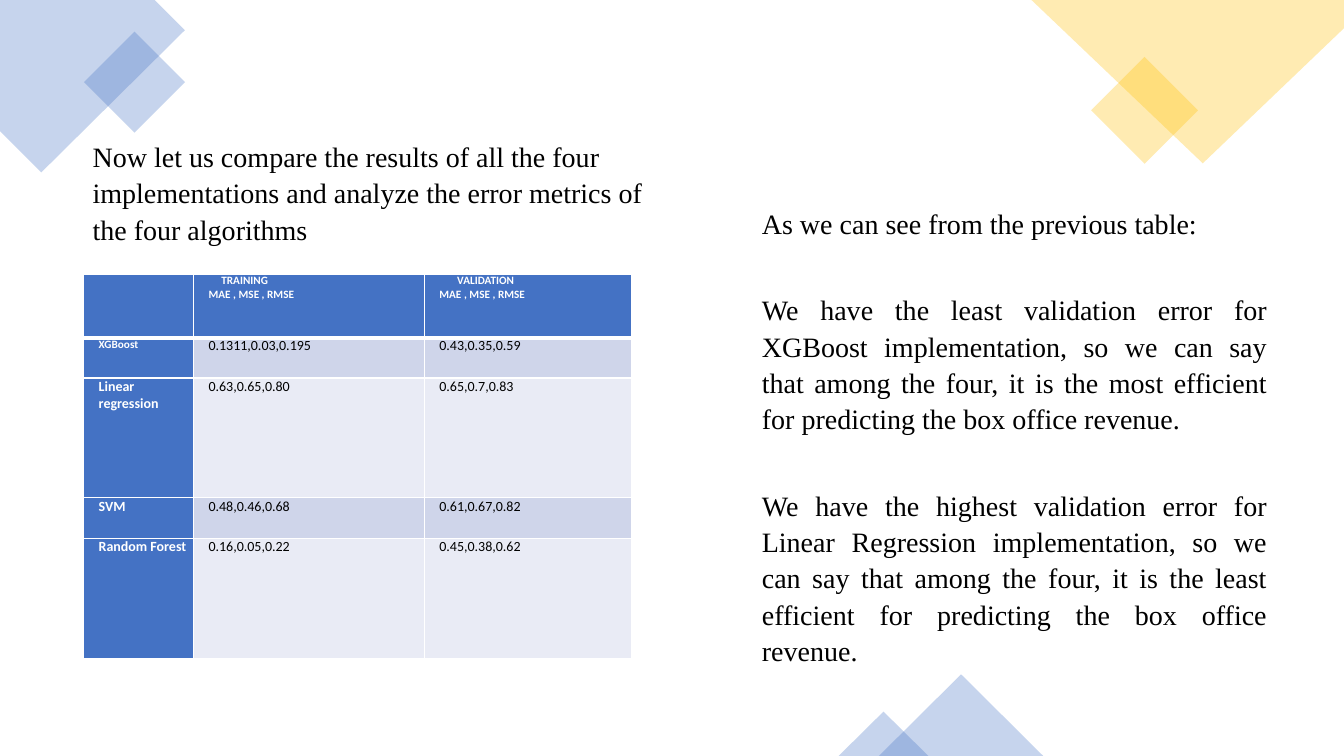
from lxml import etree
from pptx import Presentation
from pptx import util as u
from pptx.dml.color import RGBColor
from pptx.enum import shapes, text
from pptx.oxml import ns

BLUE = RGBColor(0x44, 0x72, 0xC4)
GOLD = RGBColor(0xFF, 0xC0, 0x00)
WHITE = RGBColor(0xFF, 0xFF, 0xFF)
BLACK = RGBColor(0x00, 0x00, 0x00)
BANDS = [RGBColor(0xE9, 0xEB, 0xF5), RGBColor(0xCF, 0xD5, 0xEA)]

deck = Presentation()
deck.slide_width, deck.slide_height = u.Inches(13.333), u.Inches(7.5)
slide = deck.slides.add_slide(deck.slide_layouts[6])
UNIT = deck.slide_width / 40


def grid(*cells):
    return [u.Emu(round(cell * UNIT)) for cell in cells]


def tint(ornament, color):
    ornament.shadow.inherit = False
    ornament.line.fill.background()
    ornament.fill.solid()
    ornament.fill.fore_color.rgb = color
    shade = ornament.fill._xPr.find(".//" + ns.qn("a:srgbClr"))
    etree.SubElement(shade, ns.qn("a:alpha"), val="30000")


top_left_corner = [(0, 0), (4.6, 0), (5.5, 0.9), (1.23, 5.13), (0, 3.9)]
top_right_corner = [(30.7, 0), (40, 0), (40, 0.84), (35.8, 4.86)]
for outline, color in [(top_left_corner, BLUE), (top_right_corner, GOLD)]:
    start, *others = [grid(*point) for point in outline]
    builder = slide.shapes.build_freeform(*start)
    builder.add_line_segments(others)
    tint(builder.convert_to_shape(), color)

SQUARE = shapes.MSO_SHAPE.RECTANGLE
PEAK = shapes.MSO_SHAPE.ISOSCELES_TRIANGLE
for form, place, turn, color in [
    (SQUARE, (2.94, 1.38, 2.13, 2.13), 315, BLUE),
    (SQUARE, (32.94, 2.16, 2.25, 2.25), 315, GOLD),
    (PEAK, (26.16, 20.07, 4.89, 2.43), 0, BLUE),
    (PEAK, (24.96, 21.18, 2.67, 1.32), 0, BLUE),
]:
    ornament = slide.shapes.add_shape(form, *grid(*place))
    ornament.rotation = turn
    tint(ornament, color)

introduction = [
    "Now let us compare the results of all the four implementations and "
    "analyze the error metrics of the four algorithms",
]
findings = [
    "As we can see from the previous table:",
    "We have the least validation error for XGBoost implementation, so we can "
    "say that among the four, it is the most efficient for predicting the box "
    "office revenue.",
    "We have the highest validation error for Linear Regression implementation, "
    "so we can say that among the four, it is the least efficient for predicting "
    "the box office revenue.",
]
for wording, place, alignment, gap, margin in [
    (introduction, (2.46, 3.93, 17.04, 14.31), text.PP_ALIGN.LEFT, 6, 0),
    (findings, (22.14, 5.91, 15.87, 13.44), text.PP_ALIGN.JUSTIFY, 36, 0.24),
]:
    frame = slide.shapes.add_textbox(*grid(*place)).text_frame
    frame.word_wrap = True
    frame.text = "\n".join(wording)
    for paragraph in frame.paragraphs:
        paragraph.alignment = alignment
        paragraph.line_spacing = 1.08
        paragraph.space_after = u.Pt(gap)
        paragraph._p.get_or_add_pPr().set("marL", str(grid(margin)[0]))
        font = paragraph.runs[0].font
        font.name, font.size, font.color.rgb = "Times New Roman", u.Pt(20), BLACK

metrics = [
    ("", "TRAINING\nMAE , MSE , RMSE", "VALIDATION\nMAE , MSE , RMSE"),
    ("XGBoost", "0.1311,0.03,0.195", "0.43,0.35,0.59"),
    ("Linear regression", "0.63,0.65,0.80", "0.65,0.7,0.83"),
    ("SVM", "0.48,0.46,0.68", "0.61,0.67,0.82"),
    ("Random Forest", "0.16,0.05,0.22", "0.45,0.38,0.62"),
]
widths = grid(3.27, 6.87, 6.18)
heights = grid(1.89, 1.2, 3.57, 1.2, 3.57)
comparison = slide.shapes.add_table(
    len(heights), len(widths), *grid(2.49, 8.16), sum(widths), sum(heights)
).table
for column, width in zip(comparison.columns, widths):
    column.width = width
for row, height in zip(comparison.rows, heights):
    row.height = height

title_indents = {"TRAINING": 0.38, "VALIDATION": 0.53}
for r, record in enumerate(metrics):
    for c, entry in enumerate(record):
        cell = comparison.cell(r, c)
        heading = r == 0 or c == 0
        cell.margin_left = cell.margin_right = u.Inches(0.07)
        cell.margin_top = cell.margin_bottom = 0
        for side in "LRTB":
            thick = (r, side) in [(0, "B"), (1, "T")]
            border = etree.SubElement(
                cell._tc.get_or_add_tcPr(), ns.qn("a:ln" + side),
                w=str(u.Pt(3 if thick else 1)),
            )
            paint = etree.SubElement(border, ns.qn("a:solidFill"))
            etree.SubElement(paint, ns.qn("a:srgbClr"), val=str(WHITE))
        cell.fill.solid()
        cell.fill.fore_color.rgb = BLUE if heading else BANDS[r % 2]
        cell.text_frame.text = entry
        for paragraph in cell.text_frame.paragraphs:
            paragraph.alignment = text.PP_ALIGN.JUSTIFY
            margin, indent = grid(0.24, title_indents.get(paragraph.text, 0))
            properties = paragraph._p.get_or_add_pPr()
            properties.set("marL", str(margin))
            properties.set("indent", str(indent))
            for run in paragraph.runs:
                run.font.name = "Calibri"
                run.font.size = u.Pt(8 if r == 0 or entry == "XGBoost" else 10)
                run.font.bold = heading
                run.font.color.rgb = WHITE if heading else BLACK

deck.save("out.pptx")
